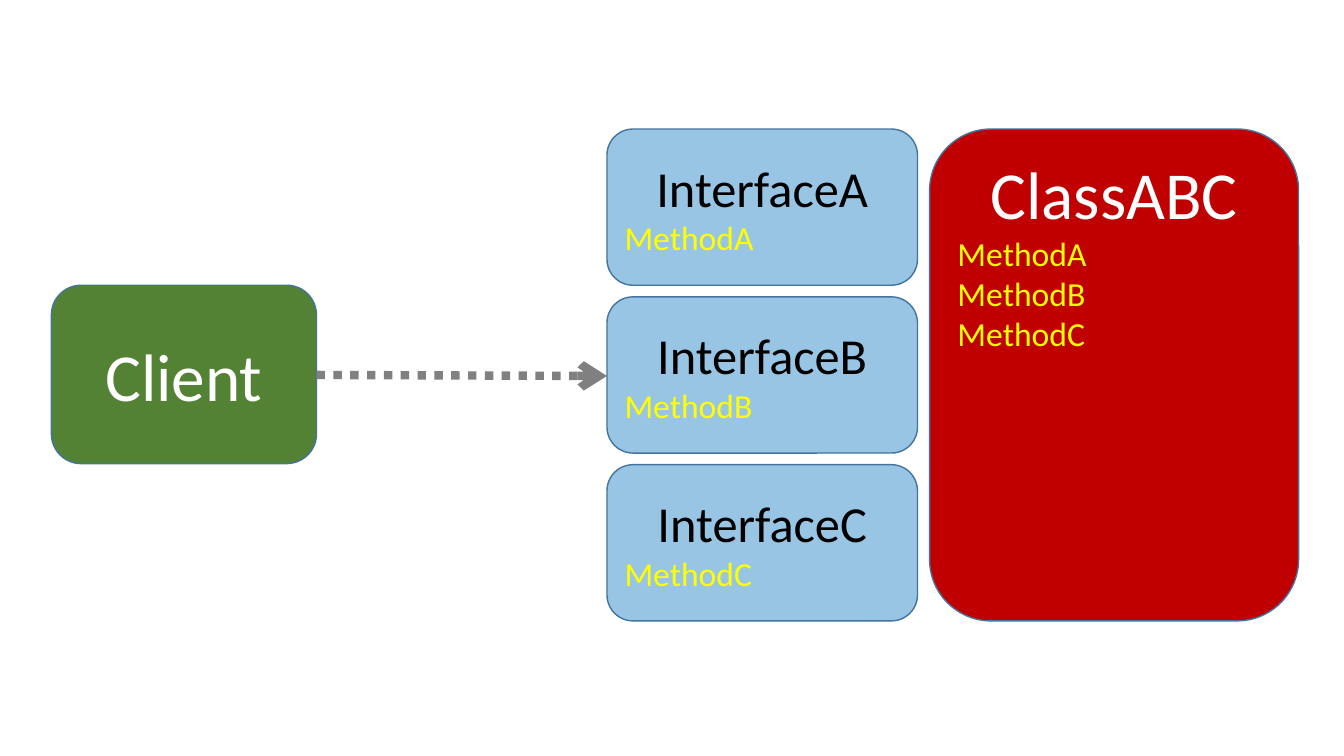
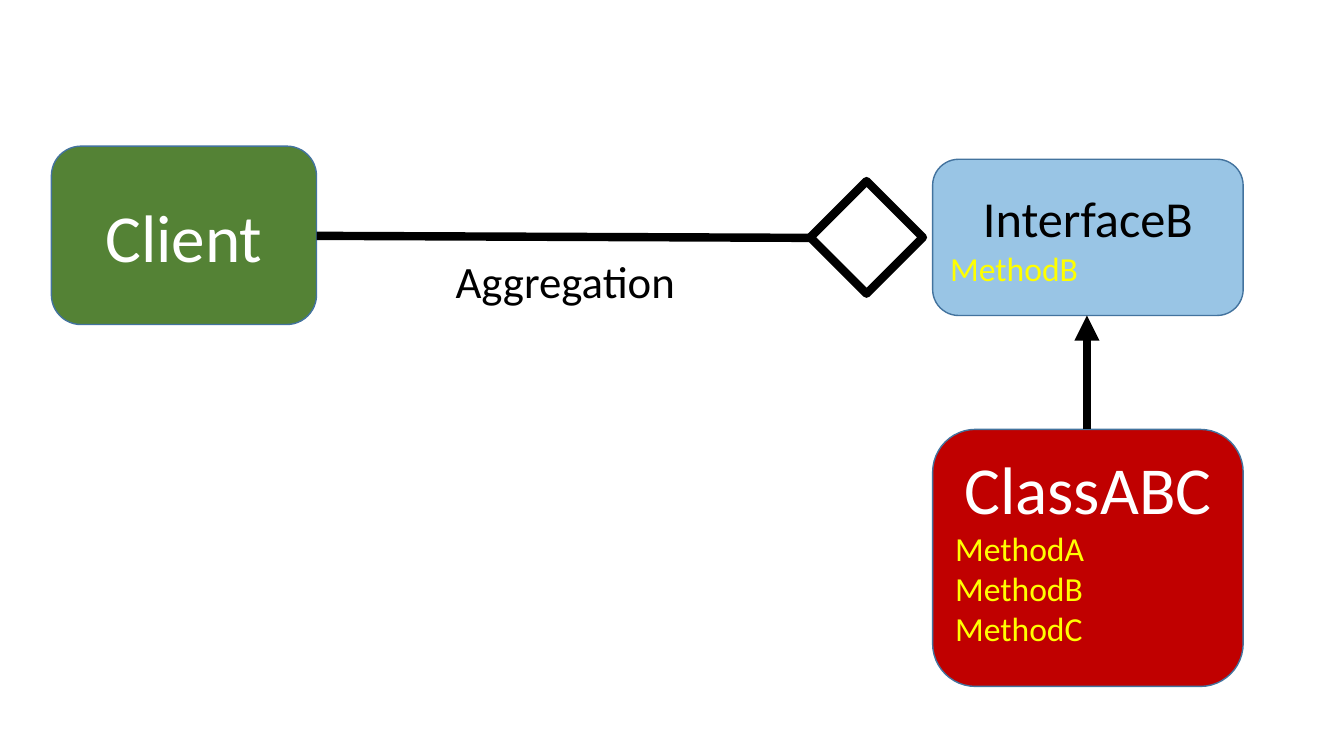
import pptx
import pptx.util
import pptx.dml.color
import pptx.enum.dml
import pptx.enum.shapes
import pptx.enum.text
import pptx.oxml.ns
import lxml.etree

Inches = pptx.util.Inches
Pt = pptx.util.Pt
Shape = pptx.enum.shapes.MSO_SHAPE
Align = pptx.enum.text.PP_ALIGN
Anchor = pptx.enum.text.MSO_ANCHOR
qn = pptx.oxml.ns.qn


def color(code):
    return pptx.dml.color.RGBColor.from_string(code)


class Deck:
    FONT = "Calibri"
    GREEN, BLUE, RED = "548235", "0070C0", "C00000"
    EDGE, GRAY = "43739E", "808080"
    BLACK, WHITE, YELLOW = "000000", "FFFFFF", "FFFF00"
    WIDE, HIGH = 3.08, 1.55  # interface box

    def __init__(self):
        self.file = pptx.Presentation()
        self.file.slide_width = Inches(13.33)
        self.file.slide_height = Inches(7.5)
        self.slide = None

    def page(self):
        self.slide = self.file.slides.add_slide(self.file.slide_layouts[6])

    def words(self, para, text, size, ink, align=Align.LEFT):
        para.text = text
        para.alignment = align
        font = para.runs[0].font
        font.name = self.FONT
        font.size = Pt(size)
        font.color.rgb = color(ink)

    def stroke(self, item, ink, width):
        item.line.color.rgb = color(ink)
        item.line.width = Pt(width)

    def box(self, x, y, w, h, fill, title, size, ink, methods=(),
            anchor=Anchor.MIDDLE, alpha=None):
        box = self.slide.shapes.add_shape(
            Shape.ROUNDED_RECTANGLE, Inches(x), Inches(y), Inches(w), Inches(h))
        box.shadow.inherit = False
        box.fill.solid()
        box.fill.fore_color.rgb = color(fill)
        if alpha:
            tint = box._element.spPr.find(qn("a:solidFill"))[0]
            lxml.etree.SubElement(tint, qn("a:alpha")).set("val", str(alpha * 1000))
        self.stroke(box, self.EDGE, 1)
        frame = box.text_frame
        frame.word_wrap = True
        frame.vertical_anchor = anchor
        self.words(frame.paragraphs[0], title, size, ink, Align.CENTER)
        for name in methods:
            self.words(frame.add_paragraph(), name, 24, self.YELLOW)

    def client(self, y):
        self.box(0.51, y, 2.63, 1.77, self.GREEN, "Client", 48, self.WHITE)

    def interface(self, x, y, key):
        self.box(x, y, self.WIDE, self.HIGH, self.BLUE, "Interface" + key, 36,
                 self.BLACK, ["Method" + key], alpha=40)

    def concrete(self, x, y, w, h):
        self.box(x, y, w, h, self.RED, "ClassABC", 48, self.WHITE,
                 ["Method" + key for key in "ABC"], Anchor.TOP)

    def link(self, start, end, ink, head=None, dash=None):
        link = self.slide.shapes.add_connector(
            pptx.enum.shapes.MSO_CONNECTOR.STRAIGHT,
            *[Inches(n) for n in start + end])
        self.stroke(link, ink, 6)
        if dash:
            link.line.dash_style = dash
        props = link._element.spPr
        if head:
            line = props.find(qn("a:ln"))
            lxml.etree.SubElement(line, qn("a:tailEnd")).set("type", head)
        lxml.etree.SubElement(props, qn("a:effectLst"))

    def diamond(self, x, y, side):
        mark = self.slide.shapes.add_shape(
            Shape.RECTANGLE, Inches(x), Inches(y), Inches(side), Inches(side))
        mark.shadow.inherit = False
        mark.rotation = 45
        mark.fill.background()
        self.stroke(mark, self.BLACK, 6)

    def label(self, x, y, w, h, text):
        frame = self.slide.shapes.add_textbox(
            Inches(x), Inches(y), Inches(w), Inches(h)).text_frame
        frame.word_wrap = False
        frame.auto_size = pptx.enum.text.MSO_AUTO_SIZE.SHAPE_TO_FIT_TEXT
        self.words(frame.paragraphs[0], text, 32, self.BLACK)


def main():
    deck = Deck()

    # One class behind three interfaces
    deck.page()
    deck.client(2.83)
    deck.link((3.14, 3.72), (6.02, 3.73), deck.GRAY, "arrow",
              pptx.enum.dml.MSO_LINE.ROUND_DOT)
    top, tall = 1.28, 4.88
    step = (tall - deck.HIGH) / 2
    for row, key in enumerate("ABC"):
        deck.interface(6.02, top + row * step, key)
    deck.concrete(9.22, top, 3.66, tall)

    # Client tied to a single interface
    deck.page()
    deck.client(1.45)
    deck.concrete(9.25, 4.26, deck.WIDE, 2.55)
    deck.link((3.14, 2.34), (8.04, 2.36), deck.BLACK)
    deck.diamond(8.2, 1.96, 0.79)
    deck.label(4.42, 2.47, 2.41, 0.64, "Aggregation")
    deck.interface(9.25, 1.58, "B")
    deck.link((10.78, 4.26), (10.78, 3.13), deck.BLACK, "triangle")

    deck.file.save("out.pptx")


if __name__ == "__main__":
    main()
